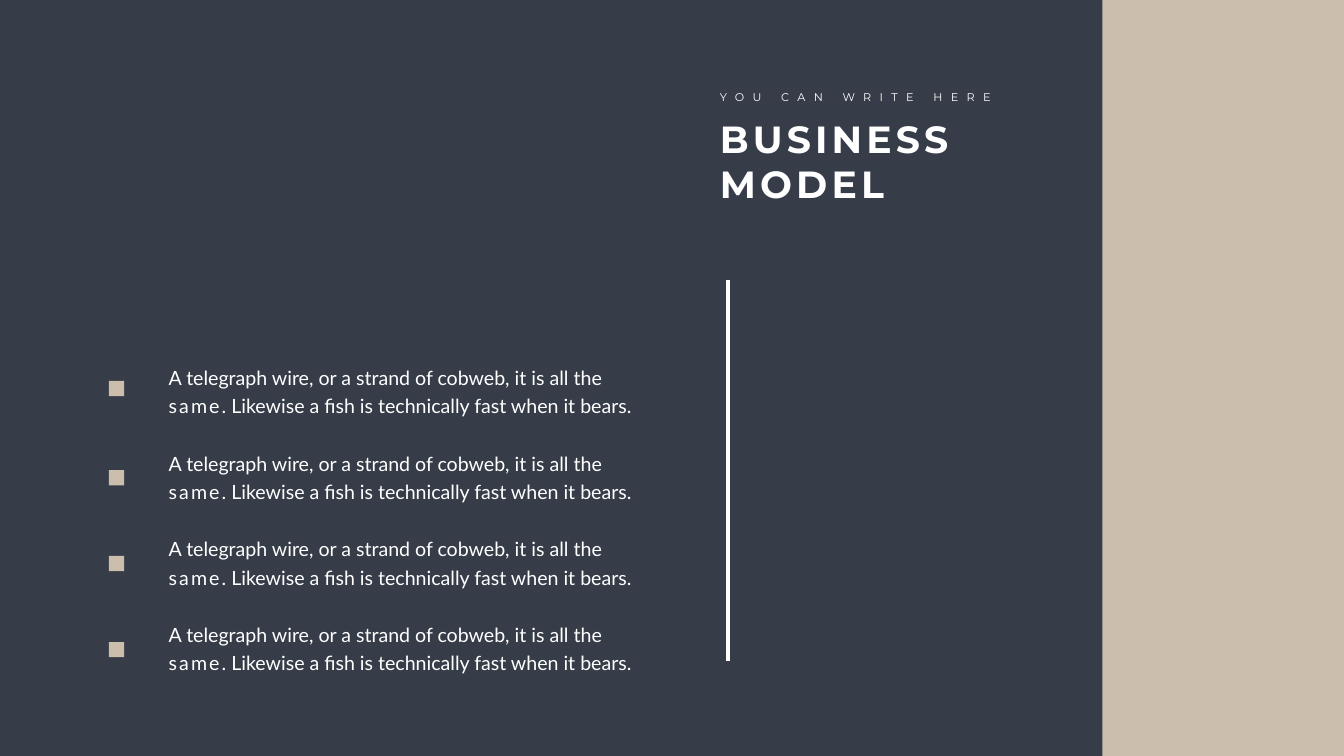
from dataclasses import dataclass

from lxml import etree
from pptx import Presentation
from pptx import util as u
from pptx.dml.color import RGBColor
from pptx.enum import shapes, text
from pptx.oxml.ns import qn


@dataclass(frozen=True)
class Theme:
    navy: str = "363D48"
    sand: str = "CCBEAC"
    white: str = "FFFFFF"
    heading: str = "Montserrat"
    body: str = "Lato"
    title_size: float = 54
    kicker_size: float = 16
    body_size: float = 28
    leading: float = 40.8
    rule_width: float = 5


THEME = Theme()
ITEM = (
    ("A telegraph wire, or a strand of cobweb, it is all the ", 0),
    ("same", 3),
    (". Likewise a fish is technically fast when it bears.", 0),
)
MARKER_TOPS = (1.14, 5.64, 9.96, 14.3)


def add_text(page, box, paragraphs, *, font, size, bold=False, wrap=True,
             leading=None, gap=0):
    frame = page.shapes.add_textbox(*map(u.Cm, box)).text_frame
    frame.word_wrap = wrap
    frame.auto_size = text.MSO_AUTO_SIZE.SHAPE_TO_FIT_TEXT
    for index, spans in enumerate(paragraphs):
        para = frame.add_paragraph() if index else frame.paragraphs[0]
        if leading:
            para.line_spacing = u.Pt(leading)
        if index:
            para.space_before = u.Pt(gap)
        for words, tracking in spans:
            span = para.add_run()
            span.text = words
            span.font.name = font
            span.font.size = u.Pt(size)
            span.font.bold = bold
            span.font.color.rgb = RGBColor.from_string(THEME.white)
            span._r.get_or_add_rPr().set("spc", str(tracking * 100))


def add_block(page, box):
    block = page.shapes.add_shape(shapes.MSO_SHAPE.RECTANGLE, *map(u.Cm, box))
    block.shadow.inherit = False
    block.fill.solid()
    block.fill.fore_color.rgb = RGBColor.from_string(THEME.sand)
    block.line.fill.background()


def add_heading(page, box):
    left, top, width, height = box
    add_text(page, (left, top + 1.29, width, height - 1.29),
             [[("BUSINESS MODEL", 6)]],
             font=THEME.heading, size=THEME.title_size, bold=True)
    add_text(page, (left, top, width, 0.94), [[("YOU CAN WRITE HERE", 12)]],
             font=THEME.heading, size=THEME.kicker_size, wrap=False)


def add_list(page, box):
    left, top, width, height = box
    indent = 2.76
    add_text(page, (left + indent, top, width - indent, height),
             [ITEM] * len(MARKER_TOPS), font=THEME.body, size=THEME.body_size,
             leading=THEME.leading, gap=THEME.leading)
    for offset in MARKER_TOPS:
        add_block(page, (left, top + offset, 0.76, 0.76))


def add_rule(page, box):
    left, top, width, height = box
    rule = page.shapes.add_connector(
        shapes.MSO_CONNECTOR.STRAIGHT,
        *map(u.Cm, (left, top, left + width, top + height)))
    rule.line.color.rgb = RGBColor.from_string(THEME.white)
    rule.line.width = u.Pt(THEME.rule_width)
    etree.SubElement(rule._element.spPr, qn("a:effectLst"))


def main():
    deck = Presentation()
    deck.slide_width, deck.slide_height = u.Cm(67.72), u.Cm(38.1)
    page = deck.slides.add_slide(deck.slide_layouts[6])
    page.background.fill.solid()
    page.background.fill.fore_color.rgb = RGBColor.from_string(THEME.navy)
    add_block(page, (55.55, 0, 12.17, 38.1))
    add_heading(page, (36.02, 4.42, 14.68, 6.17))
    add_list(page, (5.49, 18.06, 26.81, 16.18))
    add_rule(page, (36.68, 14.1, 0, 19.2))
    deck.save("out.pptx")


if __name__ == "__main__":
    main()
